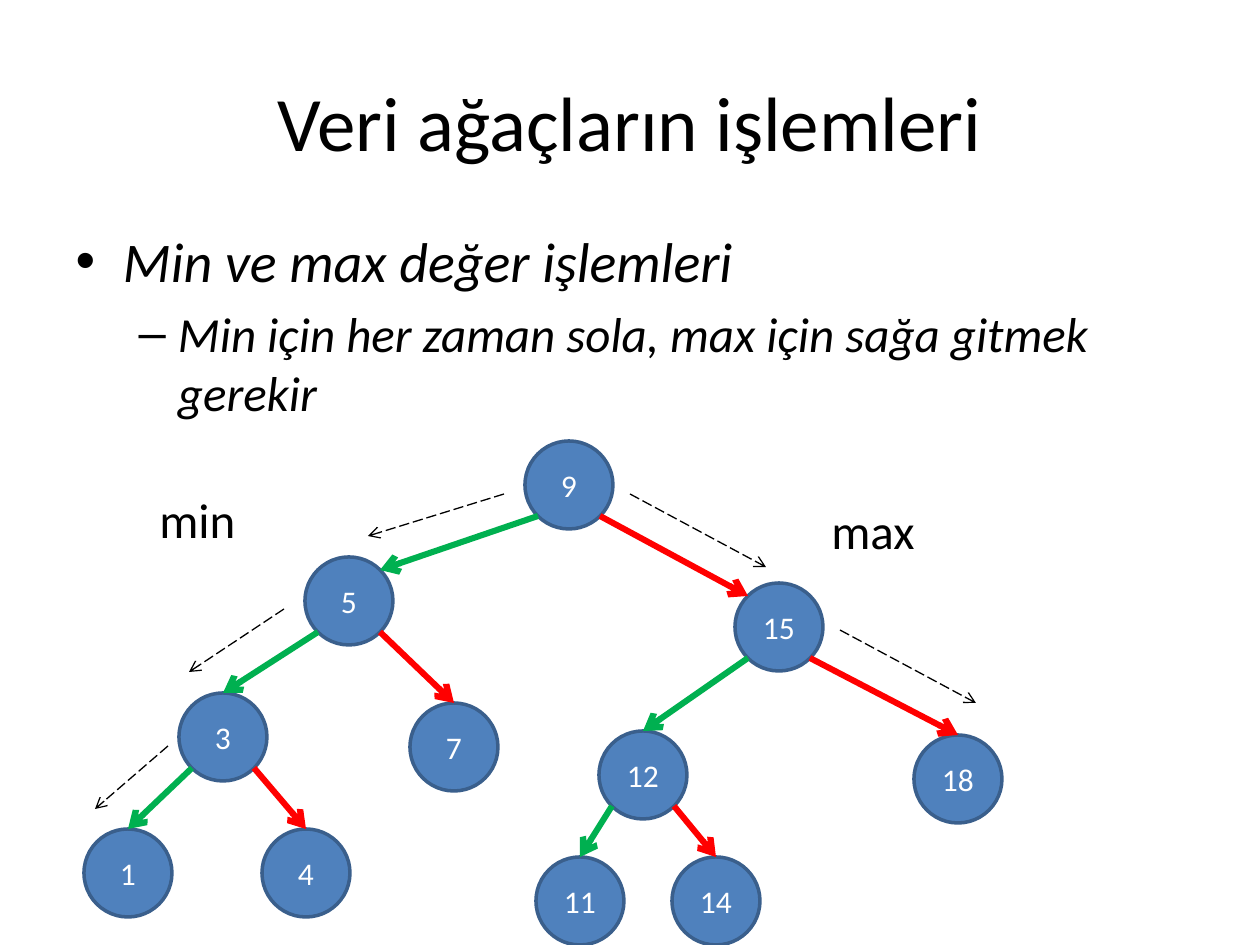
import pptx
import pptx.dml.color
import pptx.enum.dml
import pptx.enum.shapes
import pptx.enum.text
import pptx.oxml.ns
import pptx.util
import lxml.etree

NODE_SIZE = 88
CORNER = 13
NODES = {
    9: (525, 441), 5: (305, 557), 3: (179, 693), 15: (735, 583),
    18: (914, 735), 12: (599, 731), 7: (410, 703), 4: (262, 829),
    1: (84, 829), 14: (672, 857), 11: (536, 857),
}
CHILDREN = {9: (5, 15), 5: (3, 7), 15: (12, 18), 3: (1, 4), 12: (11, 14)}
PATH_ARROWS = [
    ((630, 494), (766, 567)), ((840, 630), (976, 703)),
    ((504, 494), (368, 536)), ((284, 609), (189, 672)),
    ((168, 746), (95, 809)),
]
LABELS = [("max", (819, 494, 136, 72)), ("min", (147, 483, 126, 73))]


def px(length):
    return pptx.util.Emu(round(length * 914400 / 126))


def color(value):
    return pptx.dml.color.RGBColor.from_string(value)


def write(paragraph, text, size=18, fill="000000", italic=False, align=None, level=0):
    paragraph.level = level
    paragraph.alignment = align
    run = paragraph.add_run()
    run.text = text
    run.font.name = "Calibri"
    run.font.size = pptx.util.Pt(size)
    run.font.italic = italic
    run.font.color.rgb = color(fill)


class TreeSlide:
    """Holds the style and the slide, and draws each kind of element."""

    node_fill = "4F81BD"
    node_line = "3A5F8C"
    left_color = "00B050"
    right_color = "FF0000"
    center = pptx.enum.text.PP_ALIGN.CENTER
    middle = pptx.enum.text.MSO_ANCHOR.MIDDLE

    def __init__(self, presentation):
        self.slide = presentation.slides.add_slide(presentation.slide_layouts[1])
        self.nodes = {}

    def place(self, shape, left, top, width, height):
        shape.left, shape.top = px(left), px(top)
        shape.width, shape.height = px(width), px(height)

    def title(self, text):
        shape = self.slide.shapes.title
        self.place(shape, 63, 42, 1134, 157)
        shape.text_frame.vertical_anchor = self.middle
        write(shape.text_frame.paragraphs[0], text, size=44, align=self.center)

    def body(self, heading, detail):
        shape = self.slide.placeholders[1]
        self.place(shape, 63, 220, 1134, 624)
        frame = shape.text_frame
        frame.paragraphs[0].space_before = pptx.util.Pt(0)
        write(frame.paragraphs[0], heading, size=32, italic=True)
        write(frame.add_paragraph(), detail, size=28, italic=True, level=1)

    def node(self, value, left, top):
        shape = self.slide.shapes.add_shape(
            pptx.enum.shapes.MSO_SHAPE.FLOWCHART_CONNECTOR,
            px(left), px(top), px(NODE_SIZE), px(NODE_SIZE))
        shape.shadow.inherit = False
        shape.fill.solid()
        shape.fill.fore_color.rgb = color(self.node_fill)
        shape.line.color.rgb = color(self.node_line)
        shape.line.width = pptx.util.Pt(2)
        shape.text_frame.vertical_anchor = self.middle
        write(shape.text_frame.paragraphs[0], str(value), fill="FFFFFF", align=self.center)
        self.nodes[value] = shape

    def arrow(self, start, end, line_color="000000", width=0.75, dash=None):
        connector = self.slide.shapes.add_connector(
            pptx.enum.shapes.MSO_CONNECTOR.STRAIGHT,
            px(start[0]), px(start[1]), px(end[0]), px(end[1]))
        line = connector.line
        line.color.rgb = color(line_color)
        line.width = pptx.util.Pt(width)
        if dash:
            line.dash_style = dash
        properties = connector._element.spPr
        outline = properties.find(pptx.oxml.ns.qn("a:ln"))
        lxml.etree.SubElement(outline, pptx.oxml.ns.qn("a:tailEnd"), type="arrow")
        lxml.etree.SubElement(properties, pptx.oxml.ns.qn("a:effectLst"))
        return connector

    def edge(self, parent, child, is_right, to_corner):
        left, top = NODES[parent]
        start = (left + (NODE_SIZE - CORNER if is_right else CORNER),
                 top + NODE_SIZE - CORNER)
        left, top = NODES[child]
        end = (left + NODE_SIZE // 2, top)
        if to_corner:
            end = (left + (CORNER if is_right else NODE_SIZE - CORNER), top + CORNER)
        line_color = self.right_color if is_right else self.left_color
        connector = self.arrow(start, end, line_color, 3.5)
        if not to_corner:
            connector.end_connect(self.nodes[child], 0)

    def label(self, text, box):
        shape = self.slide.shapes.add_textbox(*map(px, box))
        shape.text_frame.word_wrap = True
        write(shape.text_frame.paragraphs[0], text, size=28)


def main():
    presentation = pptx.Presentation()
    presentation.slide_width, presentation.slide_height = px(1260), px(945)
    tree = TreeSlide(presentation)
    tree.title("Veri ağaçların işlemleri")
    tree.body("Min ve max değer işlemleri",
              "Min için her zaman sola, max için sağa gitmek gerekir")
    for value, position in NODES.items():
        tree.node(value, *position)
    for parent, children in CHILDREN.items():
        for is_right, child in enumerate(children):
            tree.edge(parent, child, is_right, to_corner=parent == 9)
    for start, end in PATH_ARROWS:
        tree.arrow(start, end, dash=pptx.enum.dml.MSO_LINE.LONG_DASH)
    for text, box in LABELS:
        tree.label(text, box)
    presentation.save("out.pptx")


if __name__ == "__main__":
    main()
